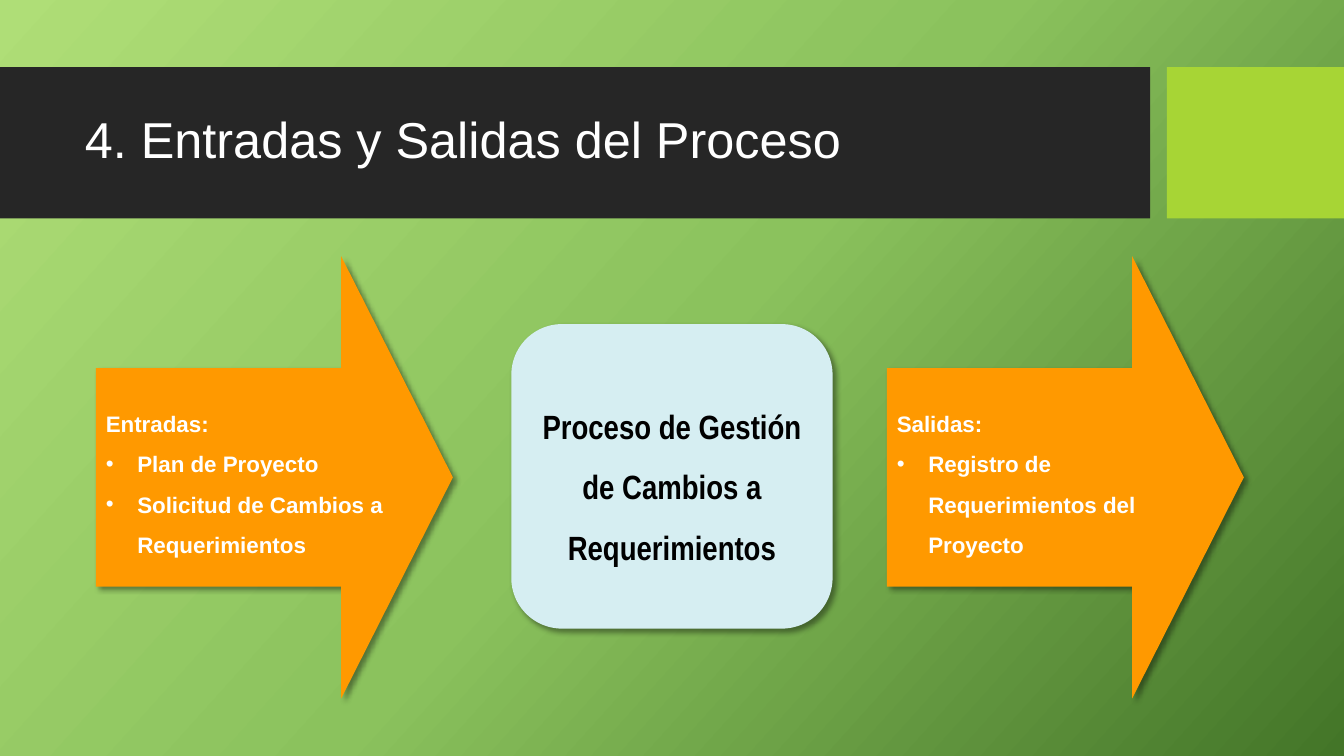
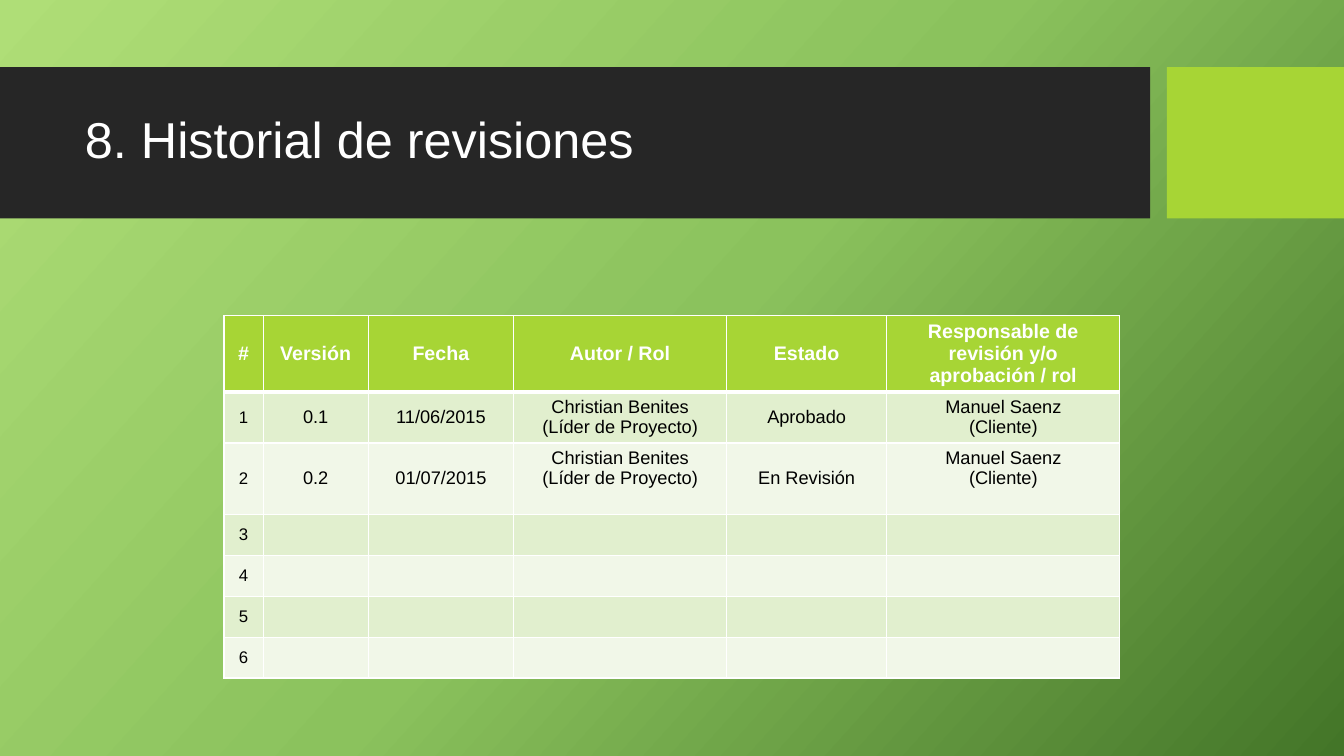
from copy import deepcopy
from dataclasses import dataclass

from lxml import etree
from pptx import Presentation
from pptx.dml.color import RGBColor
from pptx.enum.shapes import MSO_SHAPE
from pptx.enum.text import MSO_ANCHOR, PP_ALIGN
from pptx.oxml.ns import qn
from pptx.util import Pt

RECT, ROUNDED = MSO_SHAPE.RECTANGLE, MSO_SHAPE.ROUNDED_RECTANGLE
ARROW = MSO_SHAPE.RIGHT_ARROW
LEFT, CENTER = PP_ALIGN.LEFT, PP_ALIGN.CENTER
TOP, MIDDLE = MSO_ANCHOR.TOP, MSO_ANCHOR.MIDDLE
TITLE_ONLY = 5


@dataclass(frozen=True)
class Theme:
    # Colours
    gradient: tuple = ((0, "AFDE77"), (0.5, "8BC25D"), (1, "437528"))
    gradient_angle: int = 318
    band: str = "262626"
    accent: str = "A7D535"
    arrow: str = "FF9900"
    process: str = "D6EEF2"
    row_fills: tuple = ("E1EFCE", "F1F7E8")
    light: str = "FFFFFF"
    dark: str = "000000"
    # Fonts and type sizes
    font: str = "Arial"
    narrow_font: str = "Arial Narrow"
    title_size: int = 36
    process_size: int = 24
    arrow_size: int = 16
    header_size: int = 14
    cell_size: int = 13
    number_size: int = 12


class Deck:
    def __init__(self, theme):
        self.theme = theme
        self.prs = Presentation()
        self.prs.slide_width, self.prs.slide_height = Pt(960), Pt(540)
        self.slide = None

    def add_slide(self, heading):
        """Start a slide with the shared background, bands and title."""
        self.slide = self.prs.slides.add_slide(self.prs.slide_layouts[TITLE_ONLY])
        self.paint_background()
        title = self.slide.shapes.title
        for left, width, color in ((0, 821.5, self.theme.band),
                                   (833.5, 126.5, self.theme.accent)):
            band = self.shape(RECT, (left, 48, width, 108), color)
            title.element.addprevious(band.element)
        title.left, title.top, title.width, title.height = map(Pt, (53.5, 59, 757, 85))
        title.text_frame.text = heading
        title.text_frame.vertical_anchor = MIDDLE
        self.format(title.text_frame.paragraphs[0], self.theme.title_size,
                    self.theme.light, align=LEFT, spacing=0.9)

    def paint_background(self):
        fill = self.slide.background.fill
        fill.gradient()
        fill.gradient_angle = self.theme.gradient_angle
        stops = self.slide.element.find(".//" + qn("a:gsLst"))
        stops.append(deepcopy(stops[0]))
        for stop, (position, color) in zip(fill.gradient_stops, self.theme.gradient):
            stop.position = position
            stop.color.rgb = RGBColor.from_string(color)

    def format(self, paragraph, size, color, bold=False, font=None,
               align=CENTER, spacing=1.0):
        paragraph.alignment = align
        paragraph.line_spacing = spacing
        for run in paragraph.runs:
            run.font.name = font or self.theme.font
            run.font.size = Pt(size)
            run.font.bold = bold
            run.font.color.rgb = RGBColor.from_string(color)

    def shape(self, kind, box, color):
        shape = self.slide.shapes.add_shape(kind, *map(Pt, box))
        shape.fill.solid()
        shape.fill.fore_color.rgb = RGBColor.from_string(color)
        shape.line.fill.background()
        shape.shadow.inherit = False
        return shape

    def drop_shadow(self, shape):
        effects = shape.element.spPr.find(qn("a:effectLst"))
        shadow = etree.SubElement(effects, qn("a:outerShdw"), blurRad=str(Pt(4)),
                                  dist=str(Pt(3)), dir="2700000", algn="tl",
                                  rotWithShape="0")
        color = etree.SubElement(shadow, qn("a:srgbClr"), val=self.theme.dark)
        etree.SubElement(color, qn("a:alpha"), val="40000")

    def bullet(self, paragraph):
        props = paragraph._p.get_or_add_pPr()
        props.set("marL", str(Pt(22.5)))
        props.set("indent", str(-Pt(22.5)))
        etree.SubElement(props, qn("a:buFont"), typeface=self.theme.font)
        etree.SubElement(props, qn("a:buChar"), char="•")

    def flow_arrow(self, left, heading, items):
        arrow = self.shape(ARROW, (left, 183, 255, 316), self.theme.arrow)
        arrow.adjustments[0], arrow.adjustments[1] = 0.494, 0.313
        self.drop_shadow(arrow)
        arrow.text_frame.text = "\n".join([heading, *items])
        for index, paragraph in enumerate(arrow.text_frame.paragraphs):
            self.format(paragraph, self.theme.arrow_size, self.theme.light,
                        bold=True, align=LEFT, spacing=1.5)
            if index:
                self.bullet(paragraph)

    def process_box(self, text):
        process = self.shape(ROUNDED, (365.25, 231.5, 229.5, 217.5), self.theme.process)
        self.drop_shadow(process)
        process.text_frame.text = text
        self.format(process.text_frame.paragraphs[0], self.theme.process_size,
                    self.theme.dark, bold=True, font=self.theme.narrow_font, spacing=1.5)

    def borders(self, cell, top, bottom):
        props = cell._tc.get_or_add_tcPr()
        sides = (("L", 1), ("R", 1), ("T", top), ("B", bottom))
        for index, (side, width) in enumerate(sides):
            line = etree.Element(qn("a:ln" + side), w=str(Pt(width)))
            fill = etree.SubElement(line, qn("a:solidFill"))
            etree.SubElement(fill, qn("a:srgbClr"), val=self.theme.light)
            props.insert(index, line)

    def table(self, left, top, widths, heights, rows):
        theme = self.theme
        table = self.slide.shapes.add_table(
            len(rows), len(widths), Pt(left), Pt(top),
            Pt(sum(widths)), Pt(sum(heights))).table
        table.horz_banding = False
        for column, width in zip(table.columns, widths):
            column.width = Pt(width)
        for r, (row, height) in enumerate(zip(rows, heights)):
            table.rows[r].height = Pt(height)
            header = r == 0
            for c in range(len(widths)):
                cell = table.cell(r, c)
                cell.fill.solid()
                cell.fill.fore_color.rgb = RGBColor.from_string(
                    theme.accent if header else theme.row_fills[(r - 1) % 2])
                self.borders(cell, top=3 if r == 1 else 1, bottom=3 if header else 1)
                if c >= len(row):
                    continue
                cell.text_frame.text = row[c]
                # Two-line entries start at the top of their row
                cell.vertical_anchor = TOP if "\n" in row[c] else MIDDLE
                size = (theme.header_size if header
                        else theme.cell_size if c else theme.number_size)
                for paragraph in cell.text_frame.paragraphs:
                    self.format(paragraph, size, theme.light if header else theme.dark,
                                bold=header)


def main():
    deck = Deck(Theme())

    # Inputs and outputs of the process
    deck.add_slide("4. Entradas y Salidas del Proceso")
    deck.flow_arrow(68.5, "Entradas:", ["Plan de Proyecto",
                                        "Solicitud de Cambios a Requerimientos"])
    deck.flow_arrow(633.5, "Salidas:", ["Registro de Requerimientos del Proyecto"])
    deck.process_box("Proceso de Gestión de Cambios a Requerimientos")

    # Revision history
    deck.add_slide("8. Historial de revisiones")
    author, reviewer = "Christian Benites\n(Líder de Proyecto)", "Manuel Saenz\n(Cliente)"
    revisions = [
        ["#", "Versión", "Fecha", "Autor / Rol", "Estado",
         "Responsable de revisión y/o aprobación / rol"],
        ["1", "0.1", "11/06/2015", author, "Aprobado", reviewer],
        ["2", "0.2", "01/07/2015", author, "En Revisión", reviewer],
        *([str(number)] for number in range(3, 7)),
    ]
    deck.table(160, 225.5, widths=[28, 75, 104, 152, 114.5, 166.5],
               heights=[54, 36.5, 51] + [29.25] * 4, rows=revisions)

    deck.prs.save("out.pptx")


if __name__ == "__main__":
    main()
